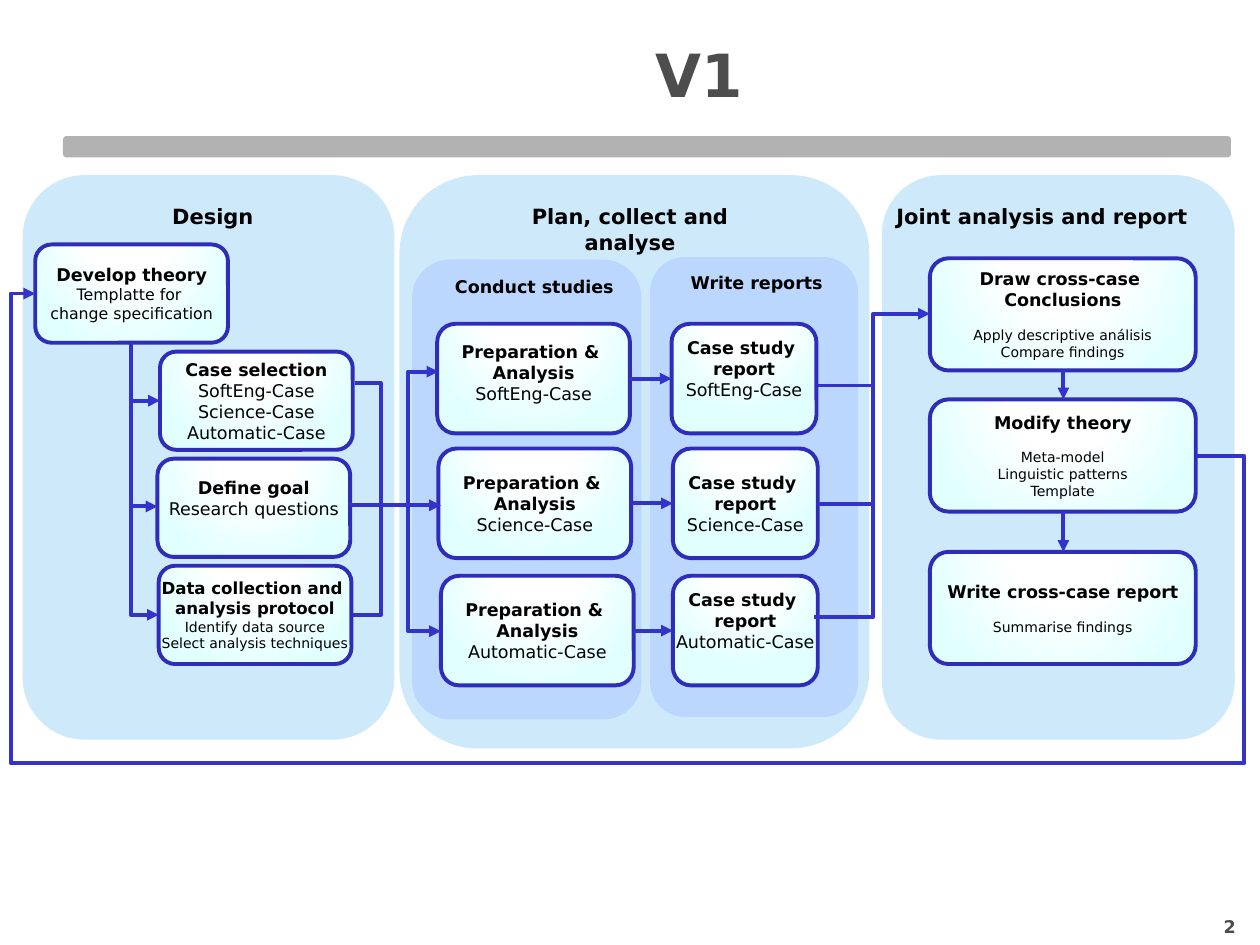
from pptx import Presentation
from pptx.dml.color import RGBColor
from pptx.enum.shapes import MSO_CONNECTOR, MSO_SHAPE
from pptx.enum.text import MSO_ANCHOR, PP_ALIGN
from pptx.oxml import parse_xml
from pptx.oxml.ns import nsdecls, qn
from pptx.util import Inches, Pt

FONT = "DejaVu Sans"
BLACK = RGBColor(0x00, 0x00, 0x00)
WHITE = RGBColor(0xFF, 0xFF, 0xFF)
GREY = RGBColor(0x4D, 0x4D, 0x4D)
BAR = RGBColor(0xB2, 0xB2, 0xB2)
PHASE = RGBColor(0xCE, 0xE9, 0xFA)
GROUP = RGBColor(0xBB, 0xD7, 0xFD)
TINT = RGBColor(0xE2, 0xFF, 0xFF)
EDGE = RGBColor(0x2D, 0x2D, 0xB9)
ARROW = RGBColor(0x33, 0x33, 0xCC)
LINE_WIDTH = Pt(2.25)
GAP = 9.3  # points between the heading and the details of a step


class ProcessPage:
    """Holds the style and the slide that is being drawn."""

    def __init__(self, page):
        self.page = page

    def fill_para(self, para, text, size, bold=False, color=BLACK):
        para.text = text
        para.alignment = PP_ALIGN.CENTER
        para.font.name = FONT
        para.font.size = Pt(size)
        para.font.bold = bold
        para.font.color.rgb = color

    def title(self, text, left, top, width, height):
        box = self.page.shapes.title
        box.left, box.top = Inches(left), Inches(top)
        box.width, box.height = Inches(width), Inches(height)
        box.text_frame.vertical_anchor = MSO_ANCHOR.MIDDLE
        self.fill_para(box.text_frame.paragraphs[0], text, 34, True, GREY)

    def label(self, text, left, top, width, height, size=12, color=BLACK):
        box = self.page.shapes.add_textbox(
            Inches(left), Inches(top), Inches(width), Inches(height))
        box.text_frame.word_wrap = True
        self.fill_para(box.text_frame.paragraphs[0], text, size, True, color)

    def panel(self, color, left, top, width, height):
        shape = self.page.shapes.add_shape(
            MSO_SHAPE.ROUNDED_RECTANGLE,
            Inches(left), Inches(top), Inches(width), Inches(height))
        shape.shadow.inherit = False
        shape.fill.solid()
        shape.fill.fore_color.rgb = color
        shape.line.fill.background()
        return shape

    def step(self, left, top, width, height, heading, details,
             heading_size=10, detail_size=10, gap=0, lift=0):
        """A glossy box; lift is extra room (inches) below the text."""
        shape = self.panel(WHITE, left, top, width, height)
        properties = shape._element.spPr
        gradient = parse_xml(
            f'<a:gradFill {nsdecls("a")} rotWithShape="1"><a:gsLst>'
            f'<a:gs pos="0"><a:srgbClr val="{WHITE}"/></a:gs>'
            f'<a:gs pos="35000"><a:srgbClr val="{WHITE}"/></a:gs>'
            f'<a:gs pos="100000"><a:srgbClr val="{TINT}"/></a:gs></a:gsLst>'
            '<a:path path="circle"><a:fillToRect l="50000" t="-80000" '
            'r="50000" b="180000"/></a:path></a:gradFill>')
        properties.replace(properties.find(qn("a:solidFill")), gradient)
        shape.line.color.rgb = EDGE
        shape.line.width = LINE_WIDTH

        frame = shape.text_frame
        frame.word_wrap = False
        frame.vertical_anchor = MSO_ANCHOR.MIDDLE
        frame.margin_bottom = Inches(0.05 + lift)
        for index, text in enumerate(heading + details):
            para = frame.paragraphs[0] if index == 0 else frame.add_paragraph()
            is_heading = index < len(heading)
            self.fill_para(para, text,
                           heading_size if is_heading else detail_size,
                           is_heading)
            if index == len(heading):
                para.space_before = Pt(gap)

    def route(self, start, end, bends=(), arrow=True):
        """A connector; bends are the x, y, x... where it turns in between."""
        kind = MSO_CONNECTOR.ELBOW if bends else MSO_CONNECTOR.STRAIGHT
        connector = self.page.shapes.add_connector(
            kind, *(Inches(value) for value in start + end))
        connector.line.color.rgb = ARROW
        connector.line.width = LINE_WIDTH
        properties = connector._element.spPr
        if bends:
            geometry = properties.find(qn("a:prstGeom"))
            geometry.set("prst", f"bentConnector{len(bends) + 2}")
            guides = geometry.get_or_add_avLst()
            for index, bend in enumerate(bends):
                axis = index % 2
                ratio = (bend - start[axis]) / (end[axis] - start[axis])
                guides.append(parse_xml(
                    f'<a:gd {nsdecls("a")} name="adj{index + 1}" '
                    f'fmla="val {round(ratio * 100000)}"/>'))
        if arrow:
            properties.find(qn("a:ln")).append(
                parse_xml(f'<a:tailEnd {nsdecls("a")} type="triangle"/>'))
        properties.append(parse_xml(f'<a:effectLst {nsdecls("a")}/>'))


def main():
    deck = Presentation()
    deck.slide_width, deck.slide_height = Inches(10), Inches(7.5)
    draw = ProcessPage(deck.slides.add_slide(deck.slide_layouts[5]))

    # Title, bar and page number
    draw.panel(BAR, 0.5, 1.08, 9.27, 0.17)
    draw.title("V1", 1.29, 0.17, 8.52, 0.83)
    draw.label("2", 9.25, 7.22, 1.02, 0.24, 10, GREY)

    # Phases and the groups inside the middle one
    for left, width, height in ((0.18, 2.95, 4.48), (3.17, 3.73, 4.55),
                                (7, 2.8, 4.48)):
        draw.panel(PHASE, left, 1.39, width, height)
    draw.panel(GROUP, 3.27, 2.06, 1.82, 3.65)
    draw.panel(GROUP, 5.16, 2.04, 1.65, 3.65)
    draw.label("Design", 1.26, 1.57, 0.86, 0.3)
    draw.label("Plan, collect and analyse", 3.74, 1.57, 2.52, 0.3)
    draw.label("Joint analysis and report", 6.89, 1.57, 2.76, 0.3)
    draw.label("Conduct studies", 3.5, 2.14, 1.48, 0.27, 10)
    draw.label("Write reports", 5.08, 2.11, 1.85, 0.27, 10)

    # Design steps
    cases = ["SoftEng-Case", "Science-Case", "Automatic-Case"]
    size = (1.53, 0.78)
    draw.step(0.28, 1.94, *size, ["Develop theory"],
              ["Templatte for ", "change specification"], detail_size=9)
    draw.step(1.27, 2.79, *size, ["Case selection"], cases)
    draw.step(1.25, 3.64, *size, ["Define goal"], ["Research questions"],
              lift=0.15)
    draw.step(1.26, 4.49, *size,
              ["Data collection and ", "analysis protocol"],
              ["Identify data source", "Select analysis techniques"],
              heading_size=9.5, detail_size=8)

    # One row for each case: study, then report
    rows = ((2.57, 3.47, 5.33, 0.1, 0.16), (3.56, 3.48, 5.34, 0, 0),
            (4.57, 3.5, 5.34, 0, 0.16))
    for case, (top, study, report, study_lift, report_lift) in zip(cases, rows):
        draw.step(study, top, 1.53, 0.87, ["Preparation & ", "Analysis"],
                  [case], lift=study_lift)
        draw.step(report, top, 1.15, 0.87, ["Case study ", "report"],
                  [case], lift=report_lift)
        middle = top + 0.435
        draw.route((study + 1.53, middle), (report, middle))

    # Joint analysis steps
    joint = (
        (2.05, ["Draw cross-case ", "Conclusions"],
         ["Apply descriptive análisis", "Compare findings"]),
        (3.17, ["Modify theory"],
         ["Meta-model", "Linguistic patterns", "Template"]),
        (4.38, ["Write cross-case report"], ["Summarise findings"]),
    )
    for top, heading, details in joint:
        draw.step(7.38, top, 2.11, 0.89, heading, details,
                  detail_size=8, gap=GAP)
    for (top, *_), (below, *_) in zip(joint, joint[1:]):
        draw.route((8.44, top + 0.89), (8.44, below))

    # Theory to the other design steps
    for end in ((1.27, 3.18), (1.25, 4.02), (1.26, 4.88)):
        draw.route((1.04, 2.72), end, [1.04])

    # Design steps to the studies
    draw.route((2.82, 3.04), (2.8, 4.88), [3.02], arrow=False)
    draw.route((2.77, 4.01), (3.5, 4.01))
    for end in ((3.48, 2.95), (3.5, 5.01)):
        draw.route((3.24, 4.01), end, [3.24])

    # Reports to the joint analysis
    draw.route((6.49, 3.06), (6.46, 4.9), [6.93], arrow=False)
    draw.route((6.49, 4), (7.38, 2.49), [6.93])

    # Modified theory back to the start
    draw.route((9.49, 3.62), (0.28, 2.33), [9.88, 6.06, 0.09])

    deck.save("out.pptx")


if __name__ == "__main__":
    main()
